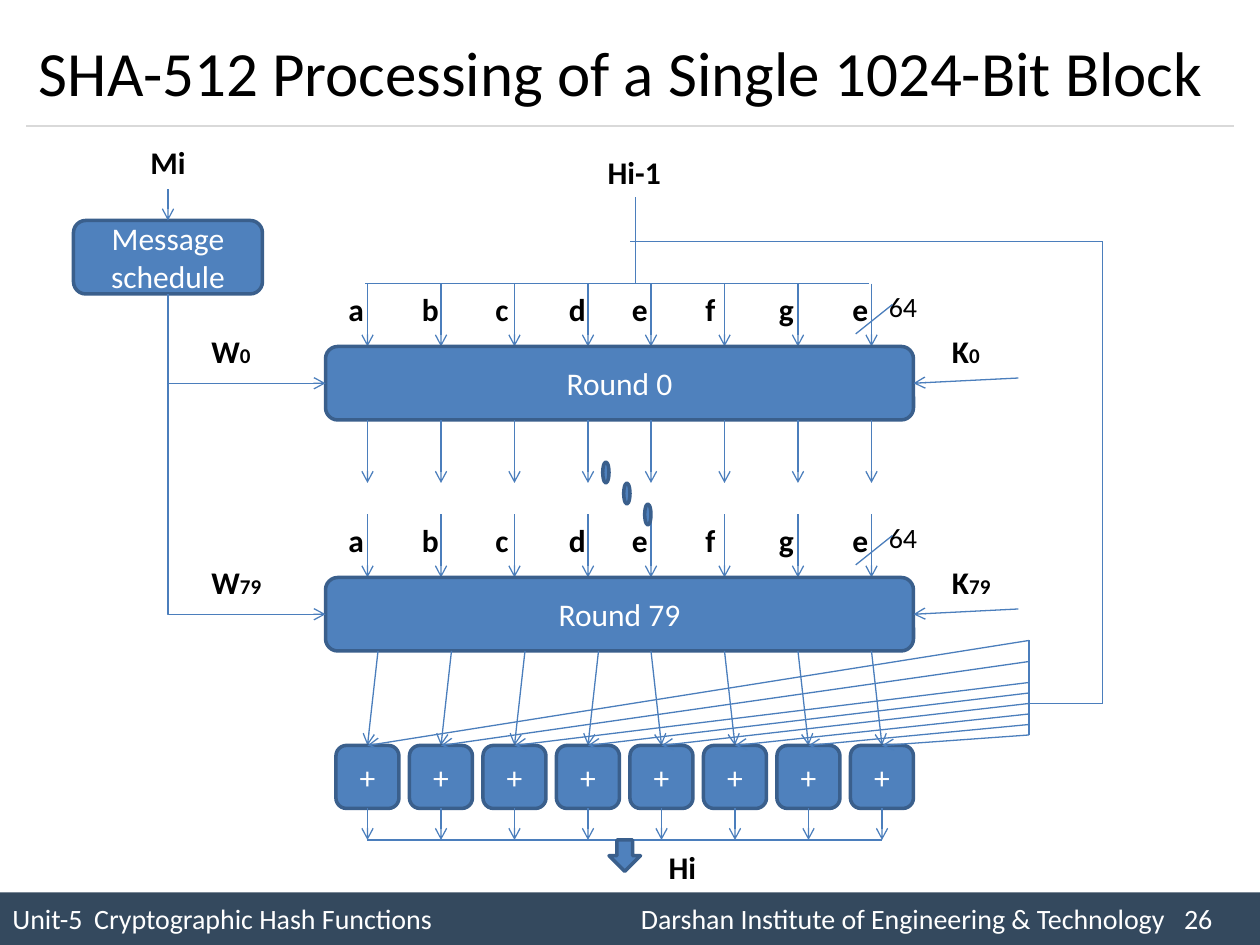
from dataclasses import dataclass

from lxml import etree
from pptx import Presentation
from pptx import util as u
from pptx.dml.color import RGBColor
from pptx.enum import shapes, text
from pptx.oxml import ns

GRID = 2.54 / 12  # one grid step in centimetres: the page is 120 by 90 steps
LETTERS = "abcdefge"
LANES = [35, 42, 49, 56, 62, 69, 76, 83]
ADDERS = [35 + 7 * i for i in range(8)]
ROUND_EXITS = [36, 43, 50, 57, 62, 69, 76, 83]
FEEDBACK_TAPS = [61, 63, 65, 66, 67, 68, 69, 70]


@dataclass(frozen=True)
class Theme:
    font: str = "Calibri"
    ink: str = "000000"
    paper: str = "FFFFFF"
    fill: str = "4F81BD"
    outline: str = "3A5F8C"
    wire: str = "4B7EBC"
    rule: str = "D9D9D9"
    footer: str = "34495E"
    title_size: int = 36
    body_size: int = 18
    small_size: int = 16
    index_size: int = 12
    wire_width: float = 0.75
    outline_width: float = 2


THEME = Theme()


def steps(*counts):
    return [u.Cm(count * GRID) for count in counts]


def colour(code):
    return RGBColor.from_string(code)


def add_span(para, words, size, code, bold=False):
    span = para.add_run()
    span.text = words
    span.font.name = THEME.font
    span.font.size = u.Pt(size)
    span.font.bold = bold
    span.font.color.rgb = colour(code)


def add_label(page, words, left, top, width, height=4.8, index="",
              size=THEME.body_size, bold=True):
    """Add a centred text box, with an optional small index after the words."""
    box = page.shapes.add_textbox(*steps(left, top, width, height))
    frame = box.text_frame
    frame.word_wrap = True
    frame.auto_size = text.MSO_AUTO_SIZE.SHAPE_TO_FIT_TEXT
    para = frame.paragraphs[0]
    para.alignment = text.PP_ALIGN.CENTER
    add_span(para, words, size, THEME.ink, bold)
    if index:
        add_span(para, index, THEME.index_size, THEME.ink, bold)


def add_block(page, kind, left, top, width, height, words=""):
    block = page.shapes.add_shape(kind, *steps(left, top, width, height))
    block.shadow.inherit = False
    block.fill.solid()
    block.fill.fore_color.rgb = colour(THEME.fill)
    block.line.color.rgb = colour(THEME.outline)
    block.line.width = u.Pt(THEME.outline_width)
    if words:
        frame = block.text_frame
        frame.word_wrap = True
        frame.vertical_anchor = text.MSO_ANCHOR.MIDDLE
        para = frame.paragraphs[0]
        para.alignment = text.PP_ALIGN.CENTER
        add_span(para, words, THEME.body_size, THEME.paper)


def add_wire(page, start, end, arrow=False, code=THEME.wire,
             kind=shapes.MSO_CONNECTOR.STRAIGHT):
    wire = page.shapes.add_connector(kind, *steps(*start, *end))
    wire.line.color.rgb = colour(code)
    wire.line.width = u.Pt(THEME.wire_width)
    if arrow:
        head = etree.SubElement(wire.line._get_or_add_ln(), ns.qn("a:tailEnd"))
        head.set("type", "arrow")
    etree.SubElement(wire._element.spPr, ns.qn("a:effectLst"))
    return wire


def add_corner_wire(page, start, end):
    """Add an arrow that runs down and then right, as a turned one-bend connector."""
    (x1, y1), (x2, y2) = start, end
    middle_x, middle_y = (x1 + x2) / 2, (y1 + y2) / 2
    half_width, half_height = (y2 - y1) / 2, (x2 - x1) / 2
    wire = add_wire(page, (middle_x - half_width, middle_y - half_height),
                    (middle_x + half_width, middle_y + half_height),
                    arrow=True, kind=shapes.MSO_CONNECTOR.ELBOW)
    outline = wire._element.spPr
    outline.find(ns.qn("a:prstGeom")).set("prst", "bentConnector2")
    outline.xfrm.set("rot", "16200000")
    outline.xfrm.set("flipH", "1")


def add_arrows(page, starts, top, ends, bottom):
    for start, end in zip(starts, ends):
        add_wire(page, (start, top), (end, bottom), arrow=True)


def add_title(page):
    title = page.shapes.title
    title.left, title.top, title.width, title.height = steps(2.5, 1.5, 115, 10.5)
    frame = title.text_frame
    frame.auto_size = text.MSO_AUTO_SIZE.NONE
    frame.vertical_anchor = text.MSO_ANCHOR.MIDDLE
    para = frame.paragraphs[0]
    para.alignment = text.PP_ALIGN.LEFT
    add_span(para, "SHA-512 Processing of a Single 1024-Bit Block",
             THEME.title_size, THEME.ink)
    add_wire(page, (2.5, 12), (117.5, 12), code=THEME.rule)


def add_footer(page):
    bar = page.shapes.add_shape(shapes.MSO_SHAPE.RECTANGLE, *steps(0, 85, 120, 5))
    bar.shadow.inherit = False
    bar.fill.solid()
    bar.fill.fore_color.rgb = colour(THEME.footer)
    bar.line.fill.background()
    frame = bar.text_frame
    frame.vertical_anchor = text.MSO_ANCHOR.MIDDLE
    para = frame.paragraphs[0]
    para.alignment = text.PP_ALIGN.LEFT
    stops = etree.SubElement(para._p.get_or_add_pPr(), ns.qn("a:tabLst"))
    for place in (1.65, 12.67, 23.62):
        stop = etree.SubElement(stops, ns.qn("a:tab"))
        stop.set("pos", str(u.Cm(place)))
        stop.set("algn", "l")
    parts = ("Unit-5", "\tCryptographic Hash Functions",
             "\tDarshan Institute of Engineering & Technology", "\t26")
    for words in parts:
        add_span(para, words, THEME.small_size, THEME.paper)


def add_round(page, number, top):
    """Add one round with its eight lettered inputs, its word and its constant."""
    add_arrows(page, LANES, top - 6, LANES, top)
    for letter, lane in zip(LETTERS, LANES):
        add_label(page, letter, lane - 3, top - 6, 3)
    add_label(page, "64", 83, top - 6, 6, 4.4, size=THEME.small_size, bold=False)
    add_wire(page, (85, top - 4), (81.5, top - 1.2))
    add_block(page, shapes.MSO_SHAPE.ROUNDED_RECTANGLE, 31, top, 56, 7,
              f"Round {number}")
    add_wire(page, (97, top + 3), (87, top + 3.5), arrow=True)
    add_label(page, "K", 89, top - 2, 5 + len(number), index=number)
    add_corner_wire(page, (16, 28), (31, top + 3.5))
    add_label(page, "W", 18, top - 2, 7 + len(number), index=number)


def add_inputs(page):
    add_block(page, shapes.MSO_SHAPE.ROUNDED_RECTANGLE, 7, 21, 18, 7,
              "Message schedule")
    add_label(page, "Mi", 13, 13, 6)
    add_wire(page, (16, 18), (16, 21), arrow=True)
    add_label(page, "Hi-1", 56.4, 14, 8)
    add_wire(page, (60.5, 18.8), (60.5, 27))
    add_wire(page, (34.8, 27), (82.8, 27))


def add_adders(page):
    add_arrows(page, ROUND_EXITS, 62, ADDERS, 71)
    for centre in ADDERS:
        add_block(page, shapes.MSO_SHAPE.ROUNDED_RECTANGLE, centre - 3, 71, 6, 6, "+")
    add_arrows(page, ADDERS, 77, ADDERS, 80)
    add_wire(page, (ADDERS[0], 80), (ADDERS[-1], 80))
    add_block(page, shapes.MSO_SHAPE.DOWN_ARROW, 58, 80, 3, 3)
    add_label(page, "Hi", 62, 80.2, 6)


def add_feedback(page):
    """Carry the incoming hash around the rounds to the adders."""
    route = [(60, 23), (105, 23), (105, 67), (98, 67)]
    for start, end in zip(route, route[1:]):
        add_wire(page, start, end)
    add_wire(page, (98, FEEDBACK_TAPS[0]), (98, FEEDBACK_TAPS[-1]))
    for tap, centre in zip(FEEDBACK_TAPS, ADDERS):
        add_wire(page, (98, tap), (centre, 71), arrow=True)


def main():
    deck = Presentation()
    deck.slide_width, deck.slide_height = steps(120, 90)
    page = deck.slides.add_slide(deck.slide_layouts[5])
    add_footer(page)
    add_title(page)
    add_inputs(page)
    add_round(page, "0", 33)
    add_arrows(page, LANES, 40, LANES, 46)
    add_round(page, "79", 55)
    for i in range(3):
        add_block(page, shapes.MSO_SHAPE.FLOWCHART_CONNECTOR,
                  57.4 + 2 * i, 44 + 2 * i, 0.6, 2)
    add_adders(page)
    add_feedback(page)
    deck.save("out.pptx")


if __name__ == "__main__":
    main()
